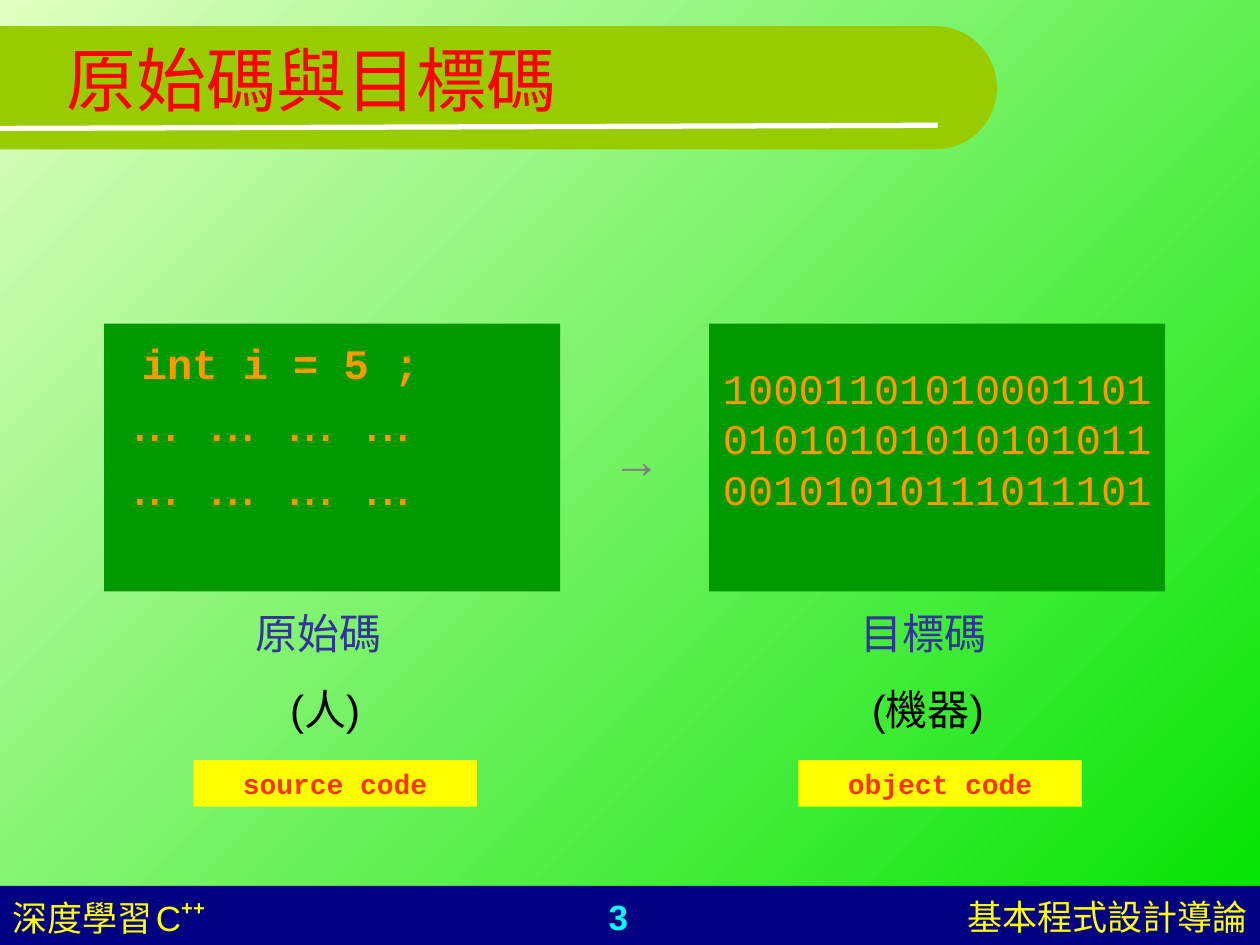
import math

import pptx
import pptx.dml.color
import pptx.enum.shapes
import pptx.enum.text
import pptx.oxml.ns
import pptx.util
from lxml import etree

Pt = pptx.util.Pt
RGBColor = pptx.dml.color.RGBColor
Align = pptx.enum.text.PP_ALIGN
Anchor = pptx.enum.text.MSO_ANCHOR

PALE = RGBColor(0xE0, 0xFF, 0xC1)
BRIGHT = RGBColor(0x00, 0xE4, 0x00)
NAVY = RGBColor(0x00, 0x00, 0x80)
OLIVE = RGBColor(0x99, 0xCC, 0x00)
WHITE = RGBColor(0xFF, 0xFF, 0xFF)
CYAN = RGBColor(0x00, 0xFF, 0xFF)
YELLOW = RGBColor(0xFF, 0xFF, 0x00)
RED = RGBColor(0xFF, 0x00, 0x00)
GREEN = RGBColor(0x00, 0x99, 0x00)
ORANGE = RGBColor(0xFF, 0x99, 0x00)
GRAY = RGBColor(0x80, 0x80, 0x80)
INDIGO = RGBColor(0x33, 0x33, 0x99)
BLACK = RGBColor(0x00, 0x00, 0x00)
SCARLET = RGBColor(0xFF, 0x33, 0x00)

WIDTH, HEIGHT = 720, 540
SANS, MONO = "Arial", "Courier New"


def style(size, color, name=SANS, bold=False):
    return {"size": Pt(size), "name": name, "bold": bold, "color": color}


CODE = style(24, ORANGE, MONO, True)
DOTS = style(32, ORANGE)
BITS = style(24, ORANGE, MONO)
BADGE = style(16, SCARLET, MONO, True)
FOOTER = style(20, YELLOW)


def add_span(para, text, look):
    span = para.add_run()
    span.text = text
    for name, value in look.items():
        if name == "color":
            span.font.color.rgb = value
        else:
            setattr(span.font, name, value)
    return span


def fill_frame(frame, lines, insets=(7.2, 3.6), anchor=Anchor.TOP):
    side, top = insets
    settings = {"word_wrap": True, "vertical_anchor": anchor,
                "margin_left": Pt(side), "margin_right": Pt(side),
                "margin_top": Pt(top), "margin_bottom": Pt(3.6)}
    for name, value in settings.items():
        setattr(frame, name, value)
    for index, (text, look, layout) in enumerate(lines):
        para = frame.add_paragraph() if index else frame.paragraphs[0]
        formats = {"alignment": Align.LEFT, **layout}
        indent = formats.pop("indent", 0)
        for name, value in formats.items():
            setattr(para, name, value)
        if indent:
            para._p.get_or_add_pPr().set("marL", str(Pt(indent)))
        add_span(para, text, look)


def paint(shape, color):
    shape.shadow.inherit = False
    shape.fill.solid()
    shape.fill.fore_color.rgb = color
    shape.line.fill.background()


def add_block(page, box, color):
    kind = pptx.enum.shapes.MSO_SHAPE.RECTANGLE
    block = page.shapes.add_shape(kind, *map(Pt, box))
    paint(block, color)
    return block


def add_text(page, box, lines, anchor=Anchor.TOP):
    frame = page.shapes.add_textbox(*map(Pt, box)).text_frame
    fill_frame(frame, lines, anchor=anchor)
    return frame


def add_background(page):
    fill = page.background.fill
    fill.gradient()
    fill.gradient_angle = 315
    for stop, color in zip(fill.gradient_stops, (PALE, BRIGHT)):
        stop.color.rgb = color


def add_banner(page, box):
    left, top, width, height = box
    radius = height / 2
    center_x, center_y = left + width - radius, top + radius
    angles = [math.radians(degree) for degree in range(-90, 91, 5)]
    arc = [(Pt(center_x + radius * math.cos(angle)),
            Pt(center_y + radius * math.sin(angle))) for angle in angles]
    builder = page.shapes.build_freeform(Pt(left), Pt(top))
    builder.add_line_segments(arc + [(Pt(left), Pt(top + height))])
    paint(builder.convert_to_shape(), OLIVE)

    rule = page.shapes.add_connector(
        pptx.enum.shapes.MSO_CONNECTOR.STRAIGHT,
        Pt(left), Pt(top + 58.4), Pt(center_x + 1.5), Pt(top + 56.6))
    rule.line.color.rgb = WHITE
    rule.line.width = Pt(3)
    etree.SubElement(rule._element.spPr, pptx.oxml.ns.qn("a:effectLst"))

    add_text(page, (left + 31, 0, 648, 90),
             [("原始碼與目標碼", style(40, RED), {})], Anchor.MIDDLE)


def add_footer(page, box):
    left, top, width, height = box
    add_block(page, box, NAVY)
    text_top = top + 2
    course = add_text(page, (left, text_top, 168, 32), [("深度學習", FOOTER, {})])
    para = course.paragraphs[0]
    add_span(para, " ", style(8, YELLOW))
    add_span(para, "C", FOOTER)
    plus = add_span(para, "++", {**FOOTER, "bold": True})
    plus._r.get_or_add_rPr().set("baseline", "46000")
    add_text(page, (left + 269.3, text_top, 168, 32),
             [("3", style(20, CYAN, bold=True), {"alignment": Align.CENTER})])
    add_text(page, (left + width - 247, text_top, 247, 32),
             [("基本程式設計導論", FOOTER, {"alignment": Align.RIGHT})])


def add_code_column(page, box, lines, top_inset, name, reader, indent, badge):
    left, top, width, height = box
    panel = add_block(page, (left, top, width, 153), GREEN)
    fill_frame(panel.text_frame, lines, (0, top_inset))

    gap = {"space_before": Pt(15)}
    add_text(page, (left + 79.2, top + 158.4, 175.7, 80),
             [(name, style(24, INDIGO), gap),
              (reader, style(24, BLACK), {**gap, "indent": indent})])

    label = add_block(page, (left + 51, top + height - 26.6, 162, 26.6), YELLOW)
    fill_frame(label.text_frame,
               [(badge, BADGE, {"alignment": Align.CENTER,
                                "space_before": Pt(10)})])


def add_arrow(page, box):
    add_text(page, box, [("→", style(28, GRAY), {"space_before": Pt(17.5)})])


def main():
    deck = pptx.Presentation()
    deck.slide_width, deck.slide_height = Pt(WIDTH), Pt(HEIGHT)
    page = deck.slides.add_slide(deck.slide_layouts[6])
    add_background(page)
    add_footer(page, (0, 506.2, WIDTH, 33.8))
    add_banner(page, (0, 15, 569.7, 70.4))

    dots = ("...  ...  ...  ...", DOTS, {"indent": 16, "line_spacing": Pt(37)})
    source = [("int i = 5 ;", CODE, {"indent": 21.6, "line_spacing": Pt(29)}),
              dots, dots]
    bits = [(text, BITS, {"alignment": Align.CENTER, "line_spacing": Pt(29)})
            for text in ("10001101010001101", "01010101010101011",
                         "00101010111011101")]
    columns = [(source, 7.5, "原始碼", "(人)", 20, "source code"),
               (bits, 21.8, "目標碼", "(機器)", 6.7, "object code")]
    for index, column in enumerate(columns):
        add_code_column(page, (59.5 + 345.7 * index, 185, 260.6, 276), *column)
    add_arrow(page, (342.7, 242, 57, 41))
    deck.save("out.pptx")


if __name__ == "__main__":
    main()
